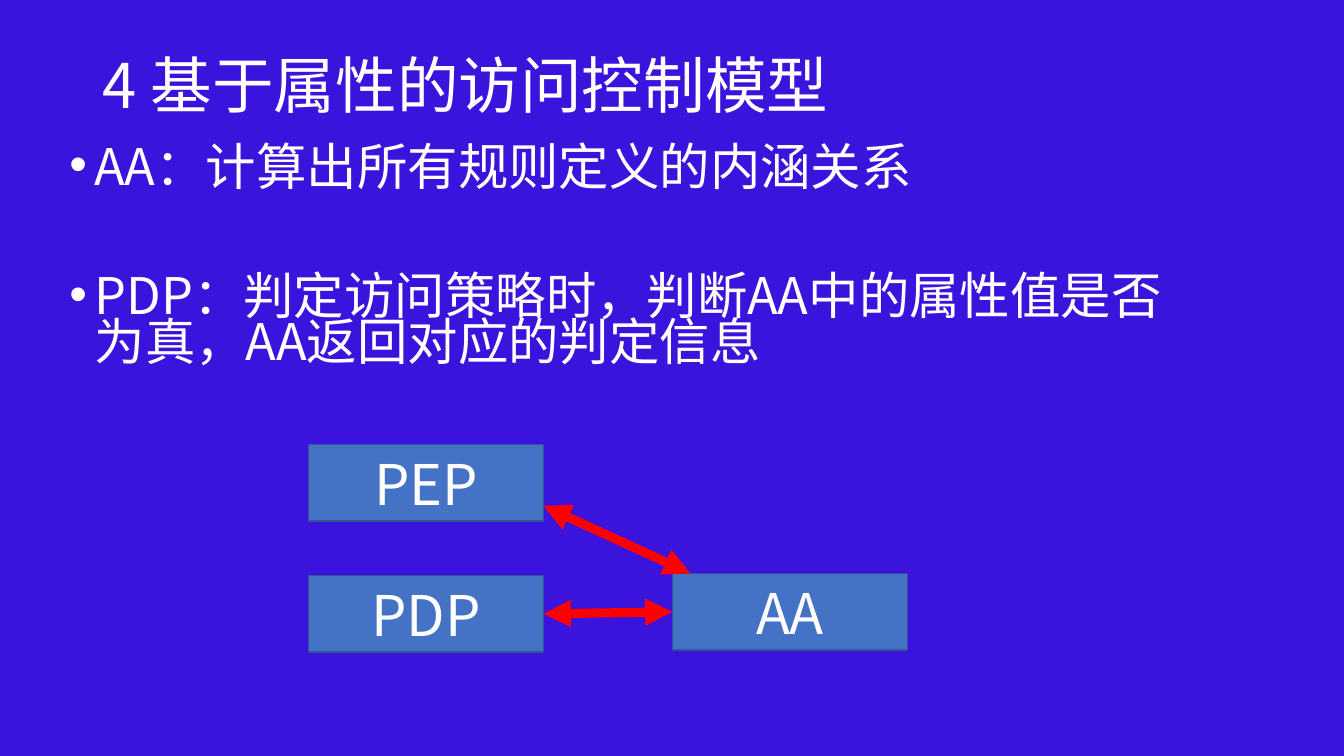
import pptx
import pptx.dml.color
import pptx.enum.shapes
import pptx.enum.text
import pptx.util
from lxml import etree
from pptx.oxml.ns import qn

FONT = "Noto Sans CJK SC"
BLUE, WHITE, BOX, EDGE, RED = "3A14DC", "FFFFFF", "4472C4", "325491", "FF0000"
ANCHOR = pptx.enum.text.MSO_ANCHOR
ALIGN = pptx.enum.text.PP_ALIGN
BULLETS = [
    "AA：计算出所有规则定义的内涵关系",
    "PDP：判定访问策略时，判断AA中的属性值是否为真，AA返回对应的判定信息",
]


def color(value):
    return pptx.dml.color.RGBColor.from_string(value)


def inches(*values):
    return [pptx.util.Inches(v) for v in values]


def apply(target, formats):
    for name, value in formats.items():
        setattr(target, name, value)


def write(p, text, size, **formats):
    apply(p, formats)
    r = p.add_run()
    r.text = text
    apply(r.font, {"size": pptx.util.Pt(size), "name": FONT})
    r.font.color.rgb = color(WHITE)
    for tag in ("a:ea", "a:cs"):
        etree.SubElement(r.font._element, qn(tag), typeface=FONT)


def add_title(s, box, text):
    tf = s.shapes.add_textbox(*inches(*box)).text_frame
    apply(tf, {"word_wrap": True, "vertical_anchor": ANCHOR.MIDDLE})
    write(tf.paragraphs[0], text, 44, line_spacing=0.9)


def add_bullets(s, box, items):
    tf = s.shapes.add_textbox(*inches(*box)).text_frame
    tf.word_wrap = True
    for i, item in enumerate(items):
        p = tf.paragraphs[0] if i == 0 else tf.add_paragraph()
        write(p, item, 36, line_spacing=0.75,
              space_before=pptx.util.Pt(60 if i else 0))
        pPr = p._p.get_or_add_pPr()
        indent = pptx.util.Inches(0.25)
        pPr.set("marL", str(indent))
        pPr.set("indent", str(-indent))
        etree.SubElement(pPr, qn("a:buFont"), typeface="Arial")
        etree.SubElement(pPr, qn("a:buChar"), char="•")


def add_node(s, box, text):
    sp = s.shapes.add_shape(pptx.enum.shapes.MSO_SHAPE.RECTANGLE, *inches(*box))
    sp.shadow.inherit = False
    sp.fill.solid()
    sp.fill.fore_color.rgb = color(BOX)
    sp.line.color.rgb = color(EDGE)
    sp.line.width = pptx.util.Pt(1)
    sp.text_frame.vertical_anchor = ANCHOR.MIDDLE
    write(sp.text_frame.paragraphs[0], text, 40, alignment=ALIGN.CENTER)
    return sp


def add_arrow(s, start, end):
    line = s.shapes.add_connector(
        pptx.enum.shapes.MSO_CONNECTOR.STRAIGHT, *inches(*start, *end))
    line.line.color.rgb = color(RED)
    line.line.width = pptx.util.Pt(6.5)
    ln = line.line._get_or_add_ln()
    for tag in ("a:headEnd", "a:tailEnd"):
        etree.SubElement(ln, qn(tag), type="triangle")
    etree.SubElement(line._element.spPr, qn("a:effectLst"))
    return line


def add_diagram(s, box):
    left, top, width, height = box
    node_w, node_h = 2.33, 0.76
    right, low = left + width - node_w, top + height - node_h
    aa_top = low - 0.02
    add_node(s, (left, top, node_w, node_h), "PEP")
    pdp = add_node(s, (left, low, node_w, node_h), "PDP")
    aa = add_node(s, (right, aa_top, node_w, node_h), "AA")

    # Two-way exchanges with AA
    edge = left + node_w
    add_arrow(s, (edge, top + 0.8 * node_h), (right + 0.18, aa_top))
    middle = aa_top + node_h / 2
    link = add_arrow(s, (edge, middle), (right, middle))
    link.begin_connect(pdp, 3)
    link.end_connect(aa, 1)


def main():
    prs = pptx.Presentation()
    prs.slide_width, prs.slide_height = inches(13.33, 7.5)
    s = prs.slides.add_slide(prs.slide_layouts[6])
    s.background.fill.solid()
    s.background.fill.fore_color.rgb = color(BLUE)

    # Heading, definitions, diagram
    add_title(s, (0.92, 0.15, 11.5, 1.45), "4 基于属性的访问控制模型")
    add_bullets(s, (0.59, 1.43, 11.5, 2.76), BULLETS)
    add_diagram(s, (3.06, 4.41, 5.94, 2.06))
    prs.save("out.pptx")


if __name__ == "__main__":
    main()
